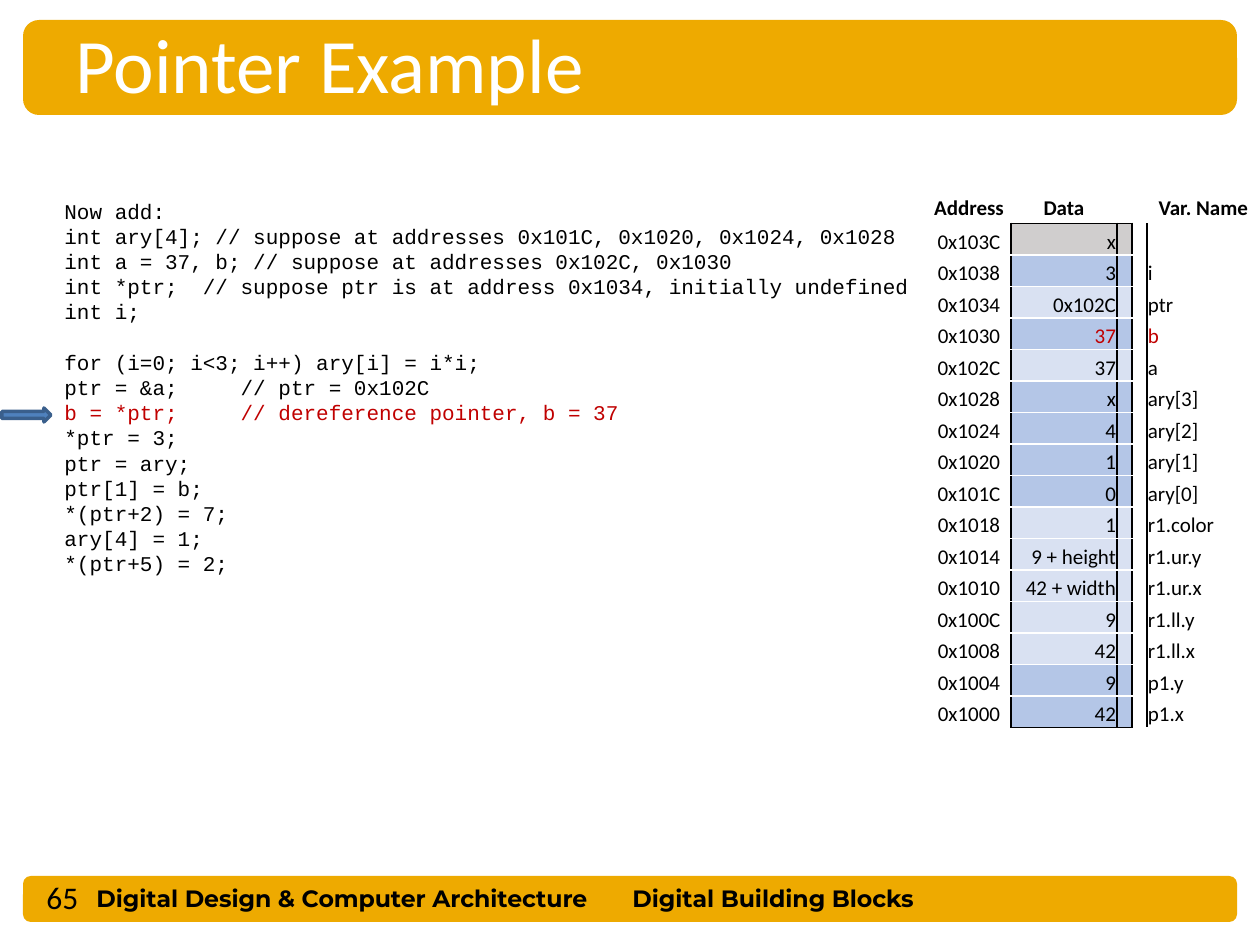
from lxml import etree
from pptx import Presentation
from pptx.dml.color import RGBColor
from pptx.enum.shapes import MSO_SHAPE
from pptx.enum.text import MSO_ANCHOR, PP_ALIGN
from pptx.oxml.ns import qn
from pptx.util import Emu, Pt

ROUNDED = MSO_SHAPE.ROUNDED_RECTANGLE
ARROW = MSO_SHAPE.RIGHT_ARROW
LEFT, CENTER, RIGHT = PP_ALIGN.LEFT, PP_ALIGN.CENTER, PP_ALIGN.RIGHT
TOP, MIDDLE, BOTTOM = MSO_ANCHOR.TOP, MSO_ANCHOR.MIDDLE, MSO_ANCHOR.BOTTOM
SCALE = 914400 / 126
PLAIN_TABLE = "{2D5ABB26-0587-4C30-8999-92F81FD0307C}"
COLORS = {
    "gold": "EEAA00", "black": "000000", "white": "FFFFFF", "red": "C00000",
    "arrow": "4F81BD", "arrow_edge": "3A5F8C",
    "grey": "D0CECE", "blue": "B4C6E7", "pale": "D9E1F2",
}

CODE = [
    "Now add:",
    "int ary[4]; // suppose at addresses 0x101C, 0x1020, 0x1024, 0x1028",
    "int a = 37, b; // suppose at addresses 0x102C, 0x1030",
    "int *ptr;  // suppose ptr is at address 0x1034, initially undefined",
    "int i;",
    "for (i=0; i<3; i++) ary[i] = i*i;",
    "ptr = &a;     // ptr = 0x102C",
    "b = *ptr;     // dereference pointer, b = 37",
    "*ptr = 3;",
    "ptr = ary;",
    "ptr[1] = b;",
    "*(ptr+2) = 7;",
    "ary[4] = 1;",
    "*(ptr+5) = 2;",
]
LOOP_LINE, CURRENT_LINE = 5, 7

MEMORY = [
    ("x", "", "grey"), ("3", "i", "blue"), ("0x102C", "ptr", "pale"),
    ("37", "b", "blue"), ("37", "a", "pale"), ("x", "ary[3]", "blue"),
    ("4", "ary[2]", "blue"), ("1", "ary[1]", "blue"), ("0", "ary[0]", "blue"),
    ("1", "r1.color", "pale"), ("9 + height", "r1.ur.y", "pale"),
    ("42 + width", "r1.ur.x", "pale"), ("9", "r1.ll.y", "pale"),
    ("42", "r1.ll.x", "pale"), ("9", "p1.y", "blue"), ("42", "p1.x", "blue"),
]
TOP_ADDRESS = 0x103C
COLUMN_WIDTHS = [84, 106, 15, 15, 113]


def px(length):
    return Emu(round(length * SCALE))


def color(name):
    return RGBColor.from_string(COLORS[name])


class SlideBuilder:
    def __init__(self, slide, font="Calibri"):
        self.slide = slide
        self.font = font

    def run(self, paragraph, text, size, tint="black", bold=False, font=None):
        run = paragraph.add_run()
        run.text = text
        run.font.name = font or self.font
        run.font.size = Pt(size)
        run.font.bold = bold
        run.font.color.rgb = color(tint)

    def shape(self, kind, box, fill, edge=None):
        shape = self.slide.shapes.add_shape(kind, *map(px, box))
        shape.shadow.inherit = False
        shape.fill.solid()
        shape.fill.fore_color.rgb = color(fill)
        if edge:
            shape.line.color.rgb = color(edge)
            shape.line.width = Pt(2)
        else:
            shape.line.fill.background()

    def frame(self, box, anchor=TOP):
        frame = self.slide.shapes.add_textbox(*map(px, box)).text_frame
        frame.word_wrap = True
        frame.vertical_anchor = anchor
        return frame

    def text(self, box, text, size, anchor=TOP, **style):
        self.run(self.frame(box, anchor).paragraphs[0], text, size, **style)

    def code(self, box, lines):
        frame = self.frame(box)
        for index, line in enumerate(lines):
            paragraph = frame.add_paragraph() if index else frame.paragraphs[0]
            paragraph.line_spacing = Pt(14.4)
            if index == LOOP_LINE:
                paragraph.space_before = Pt(14.4)
            tint = "red" if index == CURRENT_LINE else "black"
            self.run(paragraph, line, 12, tint, font="Courier New")

    def cell(self, cell, text="", align=LEFT, anchor=BOTTOM, fill=None, borders=None, **style):
        cell.margin_left = cell.margin_top = cell.margin_right = px(1)
        cell.margin_bottom = 0
        cell.vertical_anchor = anchor
        paragraph = cell.text_frame.paragraphs[0]
        paragraph.alignment = align
        if text:
            self.run(paragraph, text, 12, **style)
        else:
            etree.SubElement(paragraph._p, qn("a:endParaRPr"), sz="1200")
        properties = cell._tc.get_or_add_tcPr()
        for side in "LRTB":
            if side in (borders or {}):
                line = etree.SubElement(properties, qn("a:ln" + side), w=str(Pt(1)))
                solid = etree.SubElement(line, qn("a:solidFill"))
                etree.SubElement(solid, qn("a:srgbClr"), val=COLORS[borders[side]])
        if fill:
            cell.fill.solid()
            cell.fill.fore_color.rgb = color(fill)
        else:
            cell.fill.background()

    def memory_table(self, box, memory):
        row_count = len(memory) + 1
        table = self.slide.shapes.add_table(row_count, len(COLUMN_WIDTHS), *map(px, box)).table
        table.first_row = table.horz_banding = False
        table._tbl.tblPr.find(qn("a:tableStyleId")).text = PLAIN_TABLE
        for column, width in zip(table.columns, COLUMN_WIDTHS):
            column.width = px(width)
        for row in table.rows:
            row.height = px(box[3] / row_count)

        for column, title in enumerate(["Address", "Data", "", "", "Var. Name"]):
            borders = {"B": "black"} if column in (1, 2) else None
            self.cell(table.cell(0, column), title, CENTER, MIDDLE, borders=borders, bold=True)

        for index, (value, name, fill) in enumerate(memory):
            address, data, padding, gap, variable = table.rows[index + 1].cells
            tint = "red" if name == "b" else "black"
            edges = {
                "T": "white" if index else "black",
                "B": "black" if index == len(memory) - 1 else "white",
            }
            self.cell(address, f"0x{TOP_ADDRESS - 4 * index:X}", CENTER, borders={"R": "black"})
            self.cell(data, value, RIGHT, fill=fill, borders={"L": "black", **edges}, tint=tint)
            self.cell(padding, fill=fill, borders={"R": "black", **edges})
            self.cell(gap, borders={"L": "black"})
            self.cell(variable, name, tint=tint)


def main():
    presentation = Presentation()
    presentation.slide_width, presentation.slide_height = px(1260), px(945)
    builder = SlideBuilder(presentation.slides.add_slide(presentation.slide_layouts[6]))

    builder.shape(ROUNDED, (23, 876, 1214, 46), "gold")
    builder.shape(ROUNDED, (23, 20, 1214, 95), "gold")
    builder.text((84, 878, 560, 42), "Digital Design & Computer Architecture", 13.5,
                 bold=True, font="Montserrat")
    builder.text((620, 878, 370, 42), "Digital Building Blocks", 13.5,
                 bold=True, font="Montserrat")
    builder.text((63, 10, 1092, 106), "Pointer Example", 44, tint="white")
    builder.code((52, 192, 876, 394), CODE)
    builder.shape(ARROW, (2, 408, 49, 14), "arrow", "arrow_edge")
    builder.memory_table((927, 192, 333, 536), MEMORY)
    builder.text((34, 872, 103, 49), "65", 18, MIDDLE)
    presentation.save("out.pptx")


if __name__ == "__main__":
    main()
